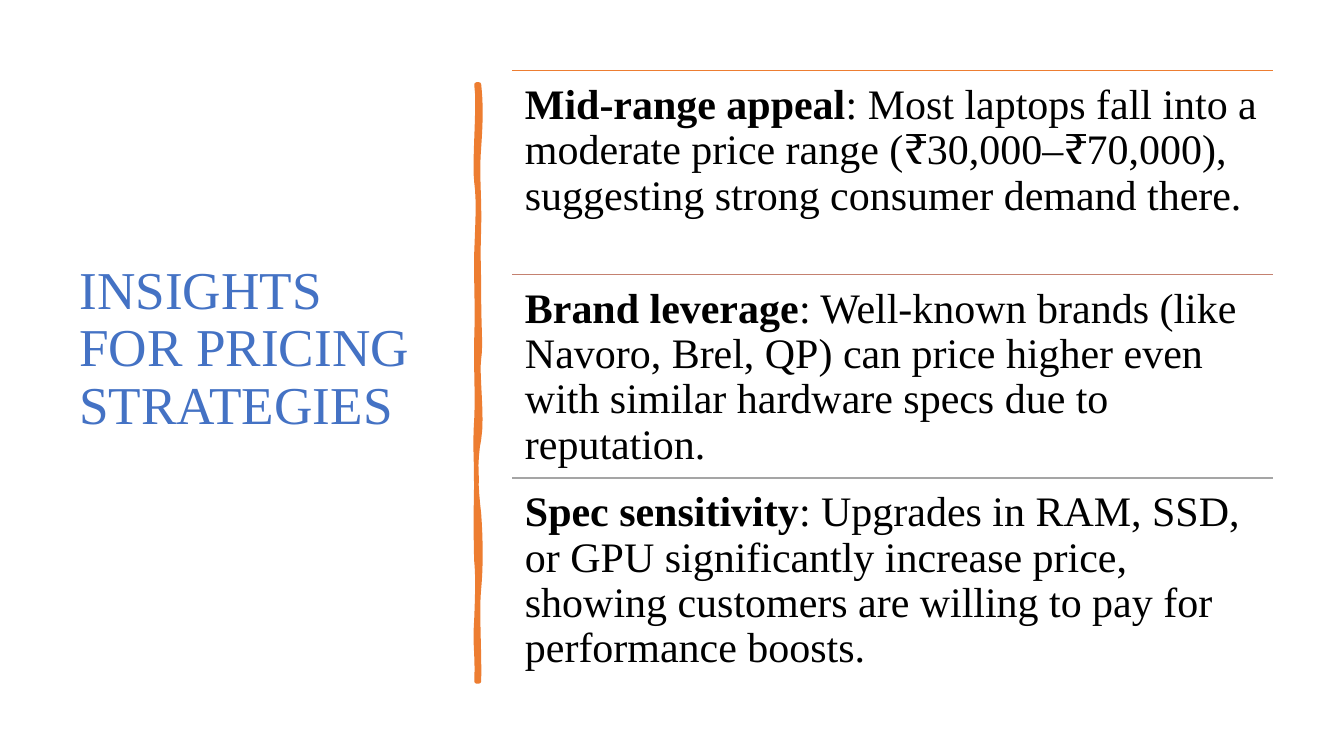
from lxml import etree
from pptx import Presentation
from pptx.dml.color import RGBColor
from pptx.enum.shapes import MSO_CONNECTOR
from pptx.enum.text import MSO_ANCHOR
from pptx.oxml.ns import qn
from pptx.util import Cm, Pt

STRAIGHT = MSO_CONNECTOR.STRAIGHT
TOP, MIDDLE = MSO_ANCHOR.TOP, MSO_ANCHOR.MIDDLE
ORANGE = "ED7D31"

# Brush stroke edges in cm: two control points and an end point per curve
RIGHT_EDGE = [
    (12.07, 2.13),
    (12.12, 2.59), (12.12, 3.02), (12.07, 3.71),
    (12.01, 4.39), (12.09, 4.95), (12.07, 5.74),
    (12.04, 6.53), (12.07, 6.65), (12.07, 7.47),
    (12.07, 8.26), (12.12, 8.69), (12.07, 9.04),
    (12.01, 9.40), (12.17, 10.52), (12.07, 11.07),
    (11.96, 11.60), (11.99, 12.29), (12.07, 12.95),
    (12.12, 13.61), (12.12, 14.33), (12.07, 14.83),
    (12.01, 15.32), (12.09, 16.51), (12.07, 17.17),
]
LEFT_EDGE = [
    (12.01, 17.17),
    (12.04, 16.41), (11.96, 16.36), (12.01, 15.57),
    (12.04, 14.81), (12.04, 14.48), (12.01, 14.15),
    (11.99, 13.82), (11.99, 12.57), (12.01, 12.12),
    (12.01, 11.66), (11.96, 11.30), (12.01, 10.54),
    (12.04, 9.80), (11.99, 9.47), (12.01, 8.51),
    (12.04, 7.57), (11.99, 7.14), (12.01, 6.35),
    (12.04, 5.54), (12.07, 5.08), (12.01, 4.60),
    (11.94, 4.14), (12.09, 2.64), (12.01, 2.13),
]

# Rule colour, bold lead, rest of the sentence
INSIGHTS = [
    (ORANGE, "Mid-range appeal",
     ": Most laptops fall into a moderate price range (₹30,000–₹70,000), "
     "suggesting strong consumer demand there."),
    ("C48170", "Brand leverage",
     ": Well-known brands (like Navoro, Brel, QP) can price higher even "
     "with similar hardware specs due to reputation."),
    ("A5A5A5", "Spec sensitivity",
     ": Upgrades in RAM, SSD, or GPU significantly increase price, "
     "showing customers are willing to pay for performance boosts."),
]


def color(value):
    return RGBColor.from_string(value)


def trace(edge, steps=8):
    """Return the points along a chain of cubic curves."""
    points = [edge[0]]
    for i in range(0, len(edge) - 1, 3):
        a, b, c, d = edge[i:i + 4]
        for step in range(1, steps + 1):
            t = step / steps
            u = 1 - t
            points.append(tuple(
                u**3 * a[n] + 3 * u * u * t * b[n] + 3 * u * t * t * c[n] + t**3 * d[n]
                for n in (0, 1)))
    return points


class Painter:
    font = "Times New Roman"
    line_spacing = 0.9

    def __init__(self, page):
        self.page = page

    def text(self, area, runs, size, ink, insets, anchor=TOP):
        box = self.page.shapes.add_textbox(*map(Cm, area))
        frame = box.text_frame
        frame.word_wrap = True
        frame.vertical_anchor = anchor
        (frame.margin_left, frame.margin_top,
         frame.margin_right, frame.margin_bottom) = map(Cm, insets)
        para = frame.paragraphs[0]
        para.line_spacing = self.line_spacing
        for words, bold in runs:
            span = para.add_run()
            span.text = words
            span.font.name = self.font
            span.font.size = Pt(size)
            span.font.bold = bold
            span.font.color.rgb = color(ink)

    def rule(self, left, top, width, ink):
        line = self.page.shapes.add_connector(
            STRAIGHT, Cm(left), Cm(top), Cm(left + width), Cm(top))
        line.line.color.rgb = color(ink)
        line.line.width = Pt(1)
        etree.SubElement(line._element.spPr, qn("a:effectLst"))

    def outline(self, points, ink, weight):
        corners = [(Cm(x), Cm(y)) for x, y in points]
        builder = self.page.shapes.build_freeform(*corners[0])
        builder.add_line_segments(corners[1:], close=True)
        shape = builder.convert_to_shape()
        shape.shadow.inherit = False
        shape.fill.solid()
        shape.fill.fore_color.rgb = color(ink)
        shape.line.color.rgb = color(ink)
        shape.line.width = Pt(weight)
        etree.SubElement(shape.line._get_or_add_ln(), qn("a:round"))


def main():
    deck = Presentation()
    deck.slide_width, deck.slide_height = Cm(33.87), Cm(19.05)
    painter = Painter(deck.slides.add_slide(deck.slide_layouts[6]))

    # Title, lifted above the middle by its bottom inset
    painter.text((1.75, 1.78, 9.5, 15.52),
                 [("INSIGHTS FOR PRICING STRATEGIES", False)],
                 38, "4472C4", (0.25, 0.13, 0.5, 1.6), MIDDLE)

    # Hand-drawn divider
    painter.outline(trace(RIGHT_EDGE) + trace(LEFT_EDGE), ORANGE, 3.25)

    # Insight rows, each under a rule
    left, top, width, height = 12.91, 1.78, 19.18, 5.13
    for row, (ink, lead, rest) in enumerate(INSIGHTS):
        row_top = top + row * height
        painter.rule(left, row_top, width, ink)
        painter.text((left, row_top, width, height),
                     [(lead, True), (rest, False)], 30, "000000", (0.32,) * 4)

    deck.save("out.pptx")


if __name__ == "__main__":
    main()
